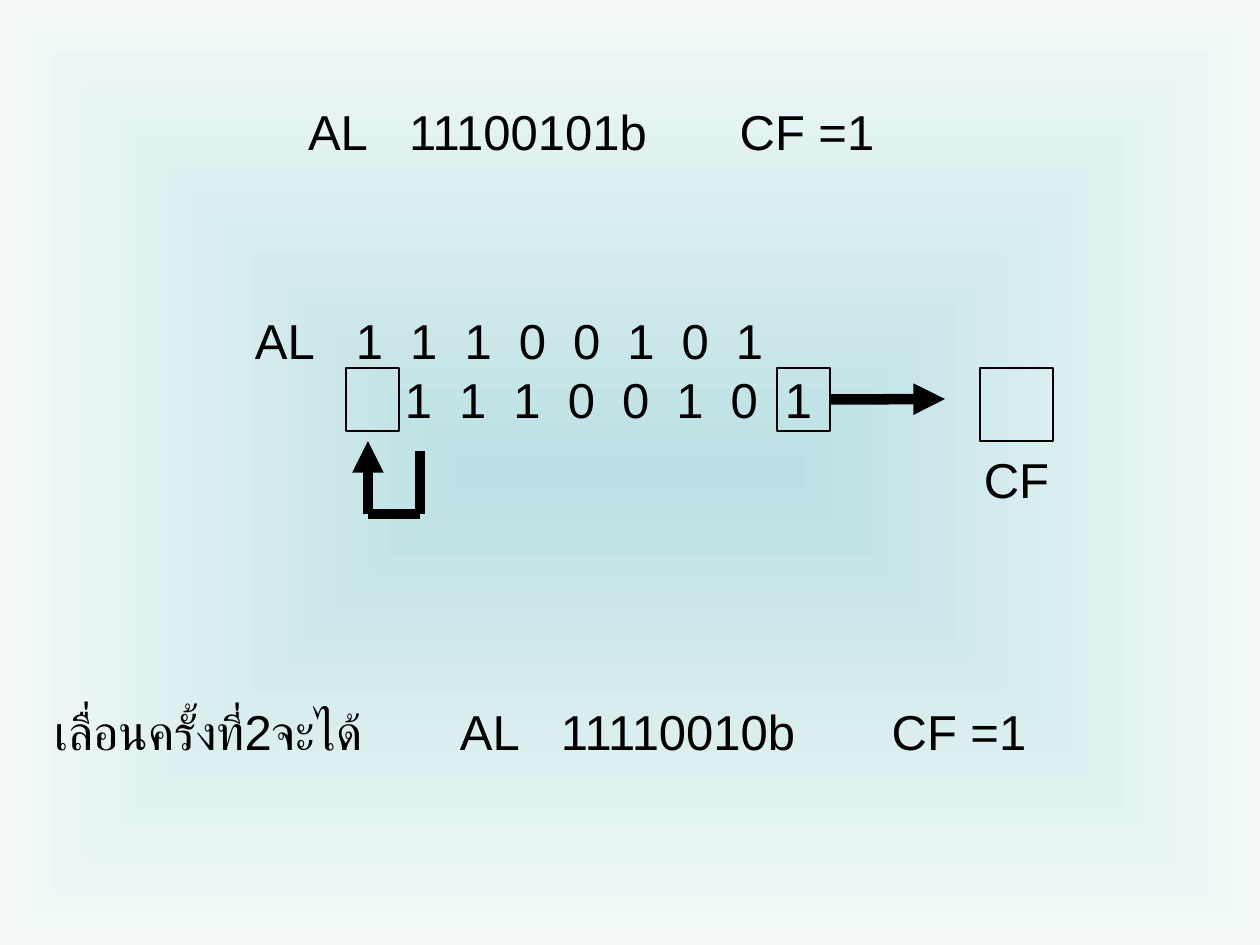
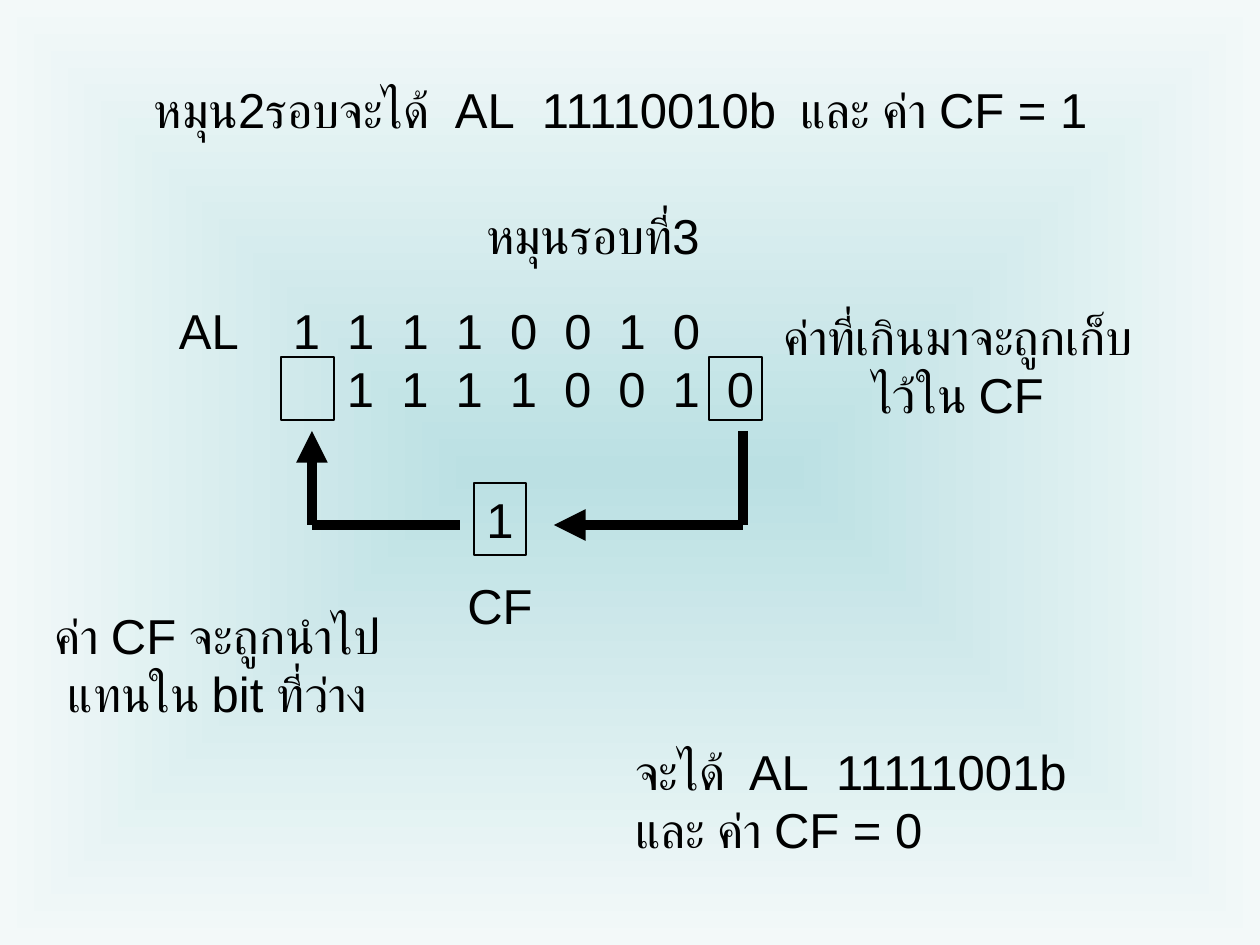
import itertools

import pptx
import pptx.dml.color
import pptx.enum.shapes
import pptx.enum.text
import pptx.oxml
import pptx.oxml.ns
import pptx.util
from lxml import etree

PX = 914400 / 126
INK, CENTRE_TINT, EDGE_TINT = "000000", "BBE0E3", "F3F9F9"
FONT, FONT_SIZE = "Arial", 28
CENTER, LEFT = pptx.enum.text.PP_ALIGN.CENTER, pptx.enum.text.PP_ALIGN.LEFT
RECTANGLE = pptx.enum.shapes.MSO_SHAPE.RECTANGLE
STRAIGHT = pptx.enum.shapes.MSO_CONNECTOR.STRAIGHT
qn = pptx.oxml.ns.qn

LINE_HEIGHT, TWO_LINES = 72, 131
INSET_X, INSET_Y = 13, 6
AL_VALUE_TAB = 101
BIT_SPAN = 380  # from the first bit of a register to its eighth
BIT_BOX = (53, 63)
BIT_BOX_TOP = 63


def px(length):
    return pptx.util.Emu(round(length * PX))


def color(hex_string):
    return pptx.dml.color.RGBColor.from_string(hex_string)


def paint_background(master):
    """Give every slide a rectangular gradient that spreads from the centre."""
    fill = master.background.fill
    fill.gradient()
    for stop, tint in zip(fill.gradient_stops, (CENTRE_TINT, EDGE_TINT)):
        stop.color.rgb = color(tint)
    gradient = master.element.find(".//" + qn("p:bg")).find(".//" + qn("a:gradFill"))
    gradient.remove(gradient.find(qn("a:lin")))
    spread = etree.SubElement(gradient, qn("a:path"), {"path": "rect"})
    etree.SubElement(spread, qn("a:fillToRect"), dict.fromkeys("ltrb", "50000"))


def write_line(paragraph, text, align, tabs=()):
    paragraph.alignment = align
    if tabs:
        tab_list = etree.SubElement(paragraph._p.get_or_add_pPr(), qn("a:tabLst"))
        for tab in tabs:
            etree.SubElement(tab_list, qn("a:tab"), {"pos": str(px(tab)), "algn": "l"})
    paragraph.font.name = FONT
    paragraph.font.size = pptx.util.Pt(FONT_SIZE)
    paragraph.font.color.rgb = color(INK)
    paragraph.add_run().text = text


def add_caption(slide, box, lines, align=CENTER):
    """Write lines, each a text or a (text, tab positions) pair."""
    frame = slide.shapes.add_textbox(*map(px, box)).text_frame
    frame.word_wrap = True
    frame.margin_left = px(INSET_X if align == LEFT else 0)
    frame.margin_right = 0
    frame.margin_top = frame.margin_bottom = px(INSET_Y)
    for index, line in enumerate(lines):
        text, tabs = (line, ()) if isinstance(line, str) else line
        paragraph = frame.add_paragraph() if index else frame.paragraphs[0]
        write_line(paragraph, text, align, tabs)


def add_cell(slide, box, value=""):
    cell = slide.shapes.add_shape(RECTANGLE, *map(px, box))
    cell.shadow.inherit = False
    cell.fill.background()
    cell.line.color.rgb = color(INK)
    cell.line.width = pptx.util.Pt(0.75)
    if value:
        frame = cell.text_frame
        frame.margin_left = frame.margin_right = 0
        write_line(frame.paragraphs[0], value, CENTER)
    return cell


def add_route(slide, points, arrow=True):
    """Join the points with thick lines, return the first; an arrow ends the last."""
    lines = []
    for start, end in itertools.pairwise(points):
        line = slide.shapes.add_connector(STRAIGHT, *map(px, start + end))
        line.line.color.rgb = color(INK)
        line.line.width = pptx.util.Pt(6)
        etree.SubElement(line._element.spPr, qn("a:effectLst"))
        lines.append(line)
    if arrow:
        outline = lines[-1].line._get_or_add_ln()
        etree.SubElement(outline, qn("a:tailEnd"), {"type": "triangle"})
    return lines[0]


def add_register(slide, box, bits, first_bit, shifted_bit, vacated, spilled):
    """Show the bits of AL above their shifted copy; return the spilled bit's cell."""
    def bit_tabs(start):
        return [start + BIT_SPAN * i / (len(bits) - 1) for i in range(len(bits))]

    row = "\t" + "\t".join(bits)
    add_caption(slide, box, [("AL" + row, bit_tabs(first_bit)),
                             (row, bit_tabs(shifted_bit))], LEFT)
    left, top = box[:2]
    _, spilled_cell = [add_cell(slide, (left + x, top + BIT_BOX_TOP, *BIT_BOX))
                       for x in (vacated, spilled)]
    return spilled_cell


def add_carry_flag(slide, box, label_gap, value=""):
    left, top, width, height = box
    label_width = 91
    add_cell(slide, box, value)
    add_caption(slide, (left + (width - label_width) / 2, top + height + label_gap,
                        label_width, LINE_HEIGHT), ["CF"])


def add_state(slide, al_left, cf_left, top, al_value):
    add_caption(slide, (al_left, top, 370, LINE_HEIGHT),
                [("AL\t" + al_value, [AL_VALUE_TAB])], LEFT)
    add_caption(slide, (cf_left, top, 160, LINE_HEIGHT), ["CF =1"])


def build_second_shift(slide):
    add_state(slide, 295, 727, 95, "11100101b")

    left, top = 242, 305
    spilled_cell = add_register(slide, (left, top, 582, TWO_LINES), "11100101",
                                first_bit=101, shifted_bit=150, vacated=104, spilled=535)
    add_carry_flag(slide, (980, top + BIT_BOX_TOP, 73, 73), label_gap=3)
    to_carry = add_route(slide, [(left + 588, top + 94), (left + 703, top + 94)])
    to_carry.begin_connect(spilled_cell, 3)
    sign_x, vacated_x, bend_y = left + 178, left + 126, top + 209
    add_route(slide, [(sign_x, top + 146), (sign_x, bend_y),
                      (vacated_x, bend_y), (vacated_x, top + 136)])

    result_top = 696
    add_caption(slide, (42, result_top, 333, LINE_HEIGHT), ["เลื่อนครั้งที่2จะได้"])
    add_state(slide, 447, 879, result_top, "11110010b")


def build_third_rotation(slide):
    add_caption(slide, (141, 73, 974, LINE_HEIGHT),
                [("หมุน2รอบจะได้\tAL\t11110010b\tและ ค่า CF = 1", [301, 388, 646])], LEFT)
    add_caption(slide, (474, 199, 238, LINE_HEIGHT), ["หมุนรอบที่3"])

    left, top = 166, 294
    add_register(slide, (left, top, 600, TWO_LINES), "11110010",
                 first_bit=114, shifted_bit=168, vacated=115, spilled=543)
    add_carry_flag(slide, (474, 483, 52, 72), label_gap=15, value="1")
    spilled_x, vacated_x = left + 577, left + 146
    start_y, bend_y = top + 137, top + 231
    add_route(slide, [(spilled_x, start_y), (spilled_x, bend_y), (left + 388, bend_y)])
    add_route(slide, [(left + 294, bend_y), (vacated_x, bend_y), (vacated_x, start_y)])

    add_caption(slide, (771, 300, 374, TWO_LINES), ["ค่าที่เกินมาจะถูกเก็บ", "ไว้ใน CF"])
    add_caption(slide, (42, 599, 351, TWO_LINES), ["ค่า CF จะถูกนำไป", "แทนใน bit ที่ว่าง"])
    add_caption(slide, (622, 735, 473, TWO_LINES),
                [("จะได้\tAL\t11111001b", [114, 201]), "และ ค่า CF = 0"], LEFT)


def main():
    deck = pptx.Presentation()
    deck.slide_width, deck.slide_height = px(1260), px(945)
    paint_background(deck.slide_master)
    blank = deck.slide_layouts[6]
    for build in (build_second_shift, build_third_rotation):
        build(deck.slides.add_slide(blank))
    deck.save("out.pptx")


if __name__ == "__main__":
    main()
